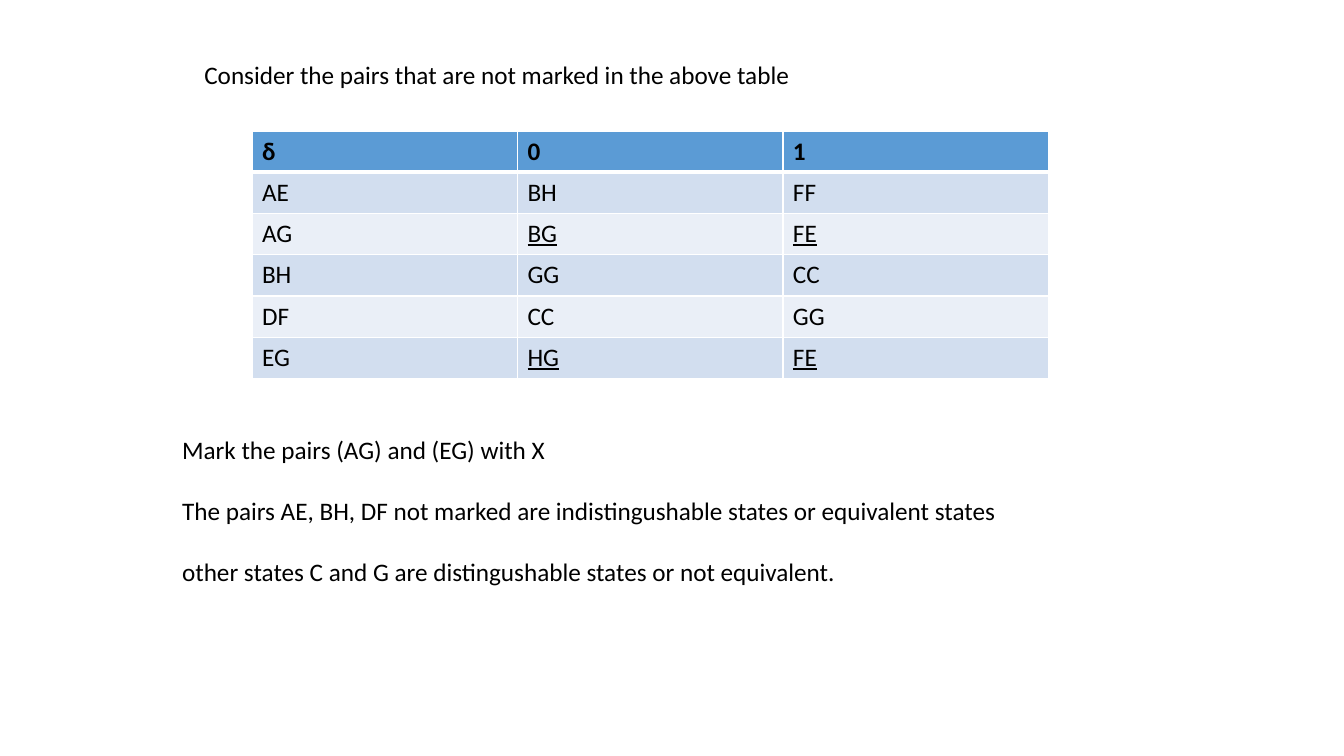
from lxml import etree
from pptx import Presentation
from pptx.dml.color import RGBColor
from pptx.oxml.ns import qn
from pptx.util import Cm, Pt

# Content
INTRO = ["Consider the pairs that are not marked in the above table"]
PAIRS = [
    ("δ", "0", "1"),
    ("AE", "BH", "FF"),
    ("AG", "BG", "FE"),
    ("BH", "GG", "CC"),
    ("DF", "CC", "GG"),
    ("EG", "HG", "FE"),
]
MARKED = ("AG", "EG")
NOTES = [
    "Mark the pairs (AG) and (EG) with X",
    "The pairs AE, BH, DF not marked are indistingushable states or equivalent states",
    "other states C and G are distingushable states or not equivalent.",
]
HEAD, BANDS, WHITE, BLACK = "5B9BD5", ("EAEFF7", "D2DEEF"), "FFFFFF", "000000"
COL, ROW = 6.69, 1.04


def color(code):
    return RGBColor.from_string(code)


def write(frame, lines, bold=False, under=False, gap=0):
    for i, line in enumerate(lines):
        para = frame.add_paragraph() if i else frame.paragraphs[0]
        if i:
            para.space_before = Pt(gap)
        run = para.add_run()
        run.text = line
        font = run.font
        font.name, font.size = "Calibri", Pt(18)
        font.bold, font.underline = bold, under
        font.color.rgb = color(BLACK)


def add_text(slide, place, lines, **style):
    box = slide.shapes.add_textbox(*map(Cm, place))
    box.text_frame.word_wrap = True
    write(box.text_frame, lines, **style)


def edge(cell, side, width):
    line = etree.SubElement(cell._tc.get_or_add_tcPr(), qn("a:ln" + side), w=str(Pt(width)))
    fill = etree.SubElement(line, qn("a:solidFill"))
    etree.SubElement(fill, qn("a:srgbClr"), val=WHITE)


def add_pairs(slide):
    rows, cols = len(PAIRS), len(PAIRS[0])
    table = slide.shapes.add_table(
        rows, cols, Cm(6.35), Cm(3.3), Cm(COL * cols), Cm(ROW * rows)).table
    for col in table.columns:
        col.width = Cm(COL)
    for r, pair in enumerate(PAIRS):
        table.rows[r].height = Cm(ROW)
        for c, word in enumerate(pair):
            cell = table.cell(r, c)
            # Borders come before the fill; the header has a thick rule below
            for side in "LRTB":
                thick = (r, side) in ((0, "B"), (1, "T"))
                edge(cell, side, 3 if thick else 1)
            cell.fill.solid()
            cell.fill.fore_color.rgb = color(BANDS[r % 2] if r else HEAD)
            write(cell.text_frame, [word], bold=r == 0,
                  under=c > 0 and pair[0] in MARKED)


def main():
    deck = Presentation()
    deck.slide_width, deck.slide_height = Cm(33.87), Cm(19.05)
    slide = deck.slides.add_slide(deck.slide_layouts[6])
    add_pairs(slide)
    add_text(slide, (4.9, 1.37, 21.1, 1.02), INTRO)
    add_text(slide, (4.34, 10.82, 24.61, 4.1), NOTES, gap=22)
    deck.save("out.pptx")


if __name__ == "__main__":
    main()
